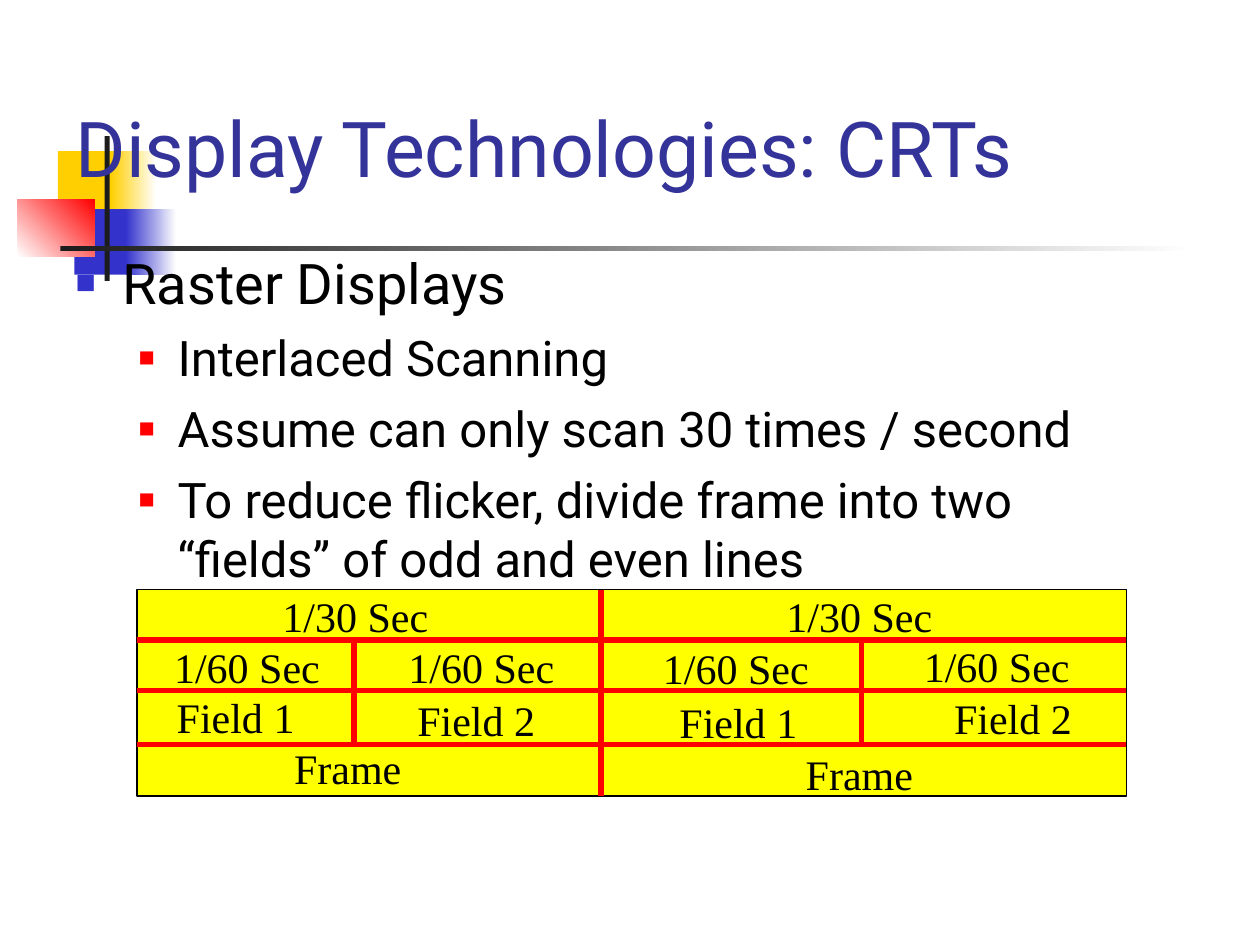
from lxml import etree
from pptx import Presentation
from pptx import util as u
from pptx.dml.color import RGBColor
from pptx.enum import shapes, text
from pptx.oxml.ns import qn

GOLD = RGBColor(0xFF, 0xCF, 0x01)
BLUE = RGBColor(0x33, 0x33, 0xCC)
NAVY = RGBColor(0x33, 0x33, 0x99)
RED = RGBColor(0xFF, 0x00, 0x00)
YELLOW = RGBColor(0xFF, 0xFF, 0x00)
CHARCOAL = RGBColor(0x1C, 0x1C, 0x1C)
BLACK = RGBColor(0x00, 0x00, 0x00)
WHITE = RGBColor(0xFF, 0xFF, 0xFF)

TITLE = "Display Technologies: CRTs"
POINTS = [  # level, wording
    (0, "Raster Displays"),
    (1, "Interlaced Scanning"),
    (1, "Assume can only scan 30 times / second"),
    (1, "To reduce flicker, divide frame into two “fields” of odd and even lines"),
]
LEVELS = [  # left margin and hanging indent in inches, sizes in points, bullet in percent
    dict(margin=0.37, hang=0.37, before=8, size=32, bullet=BLUE, percent=60),
    dict(margin=0.81, hang=0.31, before=7, size=28, bullet=RED, percent=55),
]
ORNAMENT = [  # left, top, width, height, colours from start to end, angle
    (0.46, 1.2, 0.48, 0.52, [GOLD], 0),
    (0.88, 1.2, 0.36, 0.52, [GOLD, WHITE], 0),
    (0.59, 1.66, 0.46, 0.52, [BLUE], 0),
    (1, 1.66, 0.4, 0.52, [BLUE, WHITE], 0),
    (0.14, 1.58, 0.61, 0.46, [WHITE, RED], 45),
    (0.83, 1.08, 0.04, 1.15, [CHARCOAL], 0),
    (0.48, 1.95, 9, 0.04, [CHARCOAL, WHITE], 0),
]
# Timing chart: edges of its rows, and its dividers between columns
LEFT, RIGHT = 1.09, 8.94
ROWS = [4.68, 5.08, 5.48, 5.91, 6.32]
DIVIDERS = [(4.77, 0, 4), (2.81, 1, 3), (6.84, 1, 3)]  # x, first and last row edge
LABEL_HEIGHT = 0.5
LABELS = [  # wording, box width, (centre x, top) of each
    ("1/30 Sec", 1.39, [(2.82, 4.64), (6.82, 4.64)]),
    ("1/60 Sec", 1.39, [(1.96, 5.04), (3.82, 5.04), (5.84, 5.05), (7.91, 5.03)]),
    ("Field 1", 1.17, [(1.87, 5.44), (5.86, 5.48)]),
    ("Field 2", 1.17, [(3.78, 5.46), (8.04, 5.45)]),
    ("Frame", 1.09, [(2.76, 5.84), (6.82, 5.89)]),
]


def write(paragraph, wording, size, color=BLACK, font="Roboto", align=text.PP_ALIGN.LEFT):
    paragraph.alignment = align
    run = paragraph.add_run()
    run.text = wording
    run.font.name, run.font.size = font, u.Pt(size)
    run.font.color.rgb = color


def place(shape, *box):
    shape.left, shape.top, shape.width, shape.height = map(u.Inches, box)


def add_block(slide, box, colors, angle=0):
    """Add a rectangle, shaded when given two colours."""
    block = slide.shapes.add_shape(shapes.MSO_SHAPE.RECTANGLE, *map(u.Inches, box))
    block.shadow.inherit = False
    block.line.fill.background()
    if len(colors) == 1:
        block.fill.solid()
        block.fill.fore_color.rgb = colors[0]
    else:
        block.fill.gradient()
        block.fill.gradient_angle = angle
        for stop, color, position in zip(block.fill.gradient_stops, colors, (0, 1)):
            stop.color.rgb, stop.position = color, position
    return block


def add_divider(slide, *ends):
    divider = slide.shapes.add_connector(shapes.MSO_CONNECTOR.STRAIGHT, *map(u.Inches, ends))
    divider.line.color.rgb, divider.line.width = RED, u.Pt(3)
    etree.SubElement(divider._element.spPr, qn("a:effectLst"))


def add_bullet(paragraph, style):
    properties = paragraph._p.get_or_add_pPr()
    properties.set("marL", str(u.Inches(style["margin"])))
    properties.set("indent", str(-u.Inches(style["hang"])))
    color = etree.SubElement(properties, qn("a:buClr"))
    etree.SubElement(color, qn("a:srgbClr"), val=str(style["bullet"]))
    etree.SubElement(properties, qn("a:buSzPct"), val=str(style["percent"] * 1000))
    etree.SubElement(properties, qn("a:buChar"), char="■")


def fill_placeholders(slide):
    title, body = slide.placeholders
    for placeholder in (title, body):  # in front of the ornament
        slide.shapes._spTree.append(placeholder._element)

    place(title, 0.5, 0.25, 8.28, 1.33)
    title.text_frame.auto_size = text.MSO_AUTO_SIZE.NONE
    title.text_frame.vertical_anchor = text.MSO_ANCHOR.BOTTOM
    write(title.text_frame.paragraphs[0], TITLE, 44, NAVY)

    place(body, 0.5, 1.92, 8.42, 4.5)
    frame = body.text_frame
    frame.auto_size = text.MSO_AUTO_SIZE.NONE
    for index, (level, wording) in enumerate(POINTS):
        paragraph = frame.add_paragraph() if index else frame.paragraphs[0]
        style = LEVELS[level]
        paragraph.level = level
        paragraph.space_before = u.Pt(style["before"])
        write(paragraph, wording, style["size"])
        add_bullet(paragraph, style)


def add_timing_chart(slide):
    panel = add_block(slide, (LEFT, ROWS[0], RIGHT - LEFT, ROWS[-1] - ROWS[0]), [YELLOW])
    panel.line.color.rgb, panel.line.width = BLACK, u.Pt(1)
    for y in ROWS[1:-1]:
        add_divider(slide, LEFT, y, RIGHT, y)
    for x, first, last in DIVIDERS:
        add_divider(slide, x, ROWS[first], x, ROWS[last])
    for wording, width, spots in LABELS:
        for center, top in spots:
            box = (center - width / 2, top, width, LABEL_HEIGHT)
            frame = slide.shapes.add_textbox(*map(u.Inches, box)).text_frame
            frame.word_wrap = False
            frame.auto_size = text.MSO_AUTO_SIZE.SHAPE_TO_FIT_TEXT
            frame.vertical_anchor = text.MSO_ANCHOR.MIDDLE
            write(frame.paragraphs[0], wording, 24, font="Times New Roman",
                  align=text.PP_ALIGN.CENTER)


def main():
    deck = Presentation()
    deck.slide_width, deck.slide_height = u.Inches(10), u.Inches(7.5)
    slide = deck.slides.add_slide(deck.slide_layouts[1])
    for *box, colors, angle in ORNAMENT:
        add_block(slide, box, colors, angle)
    fill_placeholders(slide)
    add_timing_chart(slide)
    deck.save("out.pptx")


if __name__ == "__main__":
    main()
